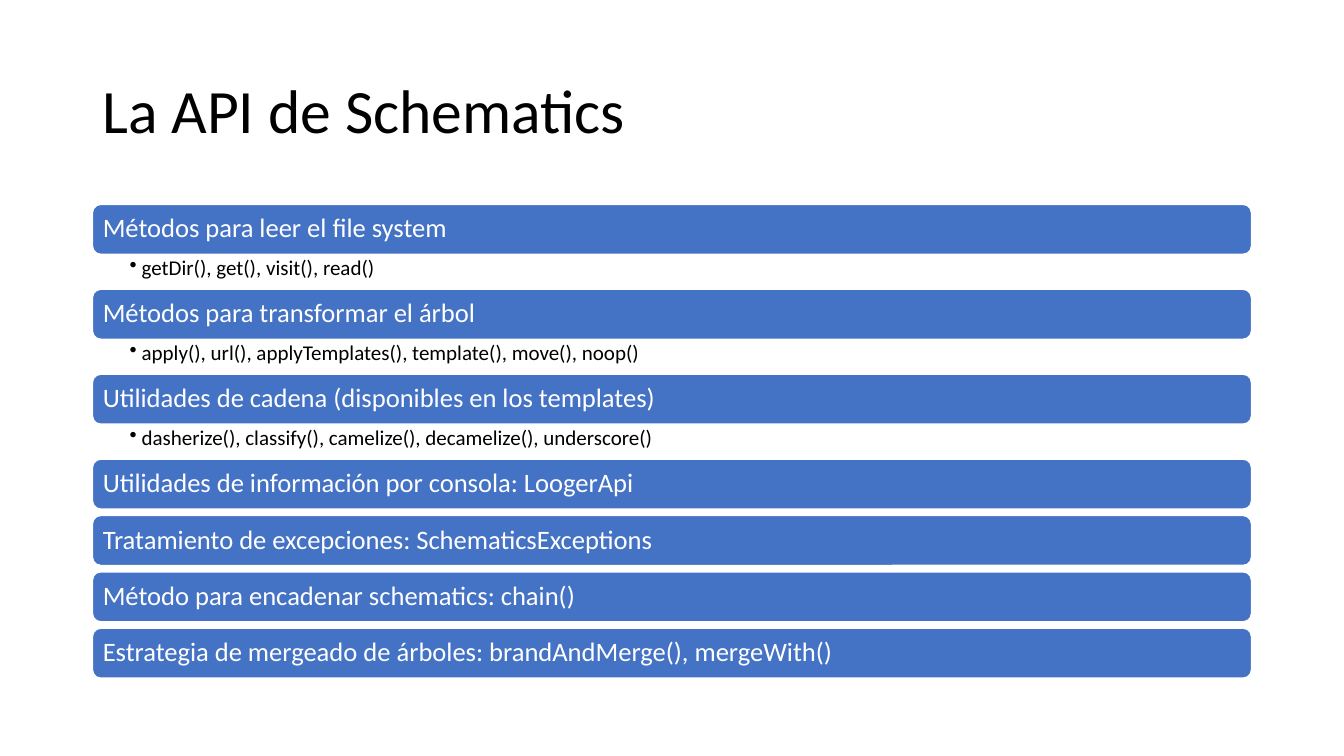
from lxml import etree
from pptx import Presentation, util as u
from pptx.dml.color import RGBColor
from pptx.enum import shapes, text
from pptx.oxml.ns import qn

LEFT, WIDTH = 2.33, 29.21
FIRST_TOP, BAR_HEIGHT, DETAIL_HEIGHT, BAR_GAP = 5.15, 1.26, 0.88, 0.16

TOPICS = [
    ("Métodos para leer el file system", "getDir(), get(), visit(), read()"),
    ("Métodos para transformar el árbol",
     "apply(), url(), applyTemplates(), template(), move(), noop()"),
    ("Utilidades de cadena (disponibles en los templates)",
     "dasherize(), classify(), camelize(), decamelize(), underscore()"),
    ("Utilidades de información por consola: LoogerApi", None),
    ("Tratamiento de excepciones: SchematicsExceptions", None),
    ("Método para encadenar schematics: chain()", None),
    ("Estrategia de mergeado de árboles: brandAndMerge(), mergeWith()", None),
]


def color(value):
    return RGBColor.from_string(value)


class SlideBuilder:
    font, black, white, blue = "Calibri", "000000", "FFFFFF", "4472C4"

    def __init__(self, slide):
        self.slide = slide

    def set_words(self, shape, words, size, ink, insets, anchor, bullet=False):
        frame = shape.text_frame
        left, top, right, bottom = map(u.Cm, insets)
        frame_format = {
            "word_wrap": True, "vertical_anchor": anchor,
            "margin_left": left, "margin_top": top,
            "margin_right": right, "margin_bottom": bottom,
        }
        for name, value in frame_format.items():
            setattr(frame, name, value)
        paragraph = frame.paragraphs[0]
        if bullet:
            paragraph.level = 1
            properties = paragraph._p.get_or_add_pPr()
            properties.set("marL", str(u.Cm(0.3)))
            properties.set("indent", str(u.Cm(-0.3)))
            etree.SubElement(properties, qn("a:buChar")).set("char", "•")
        paragraph.text = words
        paragraph.alignment = text.PP_ALIGN.LEFT
        paragraph.line_spacing = 0.9
        for name, value in {"name": self.font, "size": u.Pt(size)}.items():
            setattr(paragraph.font, name, value)
        paragraph.font.color.rgb = color(ink)

    def text_box(self, top, height, words, size, **layout):
        box = self.slide.shapes.add_textbox(
            u.Cm(LEFT), u.Cm(top), u.Cm(WIDTH), u.Cm(height))
        self.set_words(box, words, size, self.black, **layout)

    def title(self, words):
        self.text_box(1.01, 3.68, words, 44, insets=(0.25, 0.13, 0.25, 0.13),
                      anchor=text.MSO_ANCHOR.MIDDLE)

    def detail(self, top, words):
        self.text_box(top, DETAIL_HEIGHT, words, 15, insets=(0.94, 0.07, 0.38, 0.07),
                      anchor=text.MSO_ANCHOR.TOP, bullet=True)

    def bar(self, top, words):
        bar = self.slide.shapes.add_shape(
            shapes.MSO_SHAPE.ROUNDED_RECTANGLE,
            u.Cm(LEFT), u.Cm(top), u.Cm(WIDTH), u.Cm(BAR_HEIGHT))
        bar.shadow.inherit = False
        bar.fill.solid()
        bar.fill.fore_color.rgb = color(self.blue)
        bar.line.color.rgb = color(self.white)
        bar.line.width = u.Pt(1)
        self.set_words(bar, words, 19, self.white, (0.2,) * 4, text.MSO_ANCHOR.MIDDLE)


def main():
    deck = Presentation()
    deck.slide_width, deck.slide_height = u.Cm(33.87), u.Cm(19.05)
    builder = SlideBuilder(deck.slides.add_slide(deck.slide_layouts[6]))

    # Title
    builder.title("La API de Schematics")

    # Topic bars, each followed by its methods or by a small gap
    top = FIRST_TOP
    for topic, methods in TOPICS:
        builder.bar(top, topic)
        top += BAR_HEIGHT
        if methods:
            builder.detail(top, methods)
        top += DETAIL_HEIGHT if methods else BAR_GAP

    deck.save("out.pptx")


if __name__ == "__main__":
    main()
